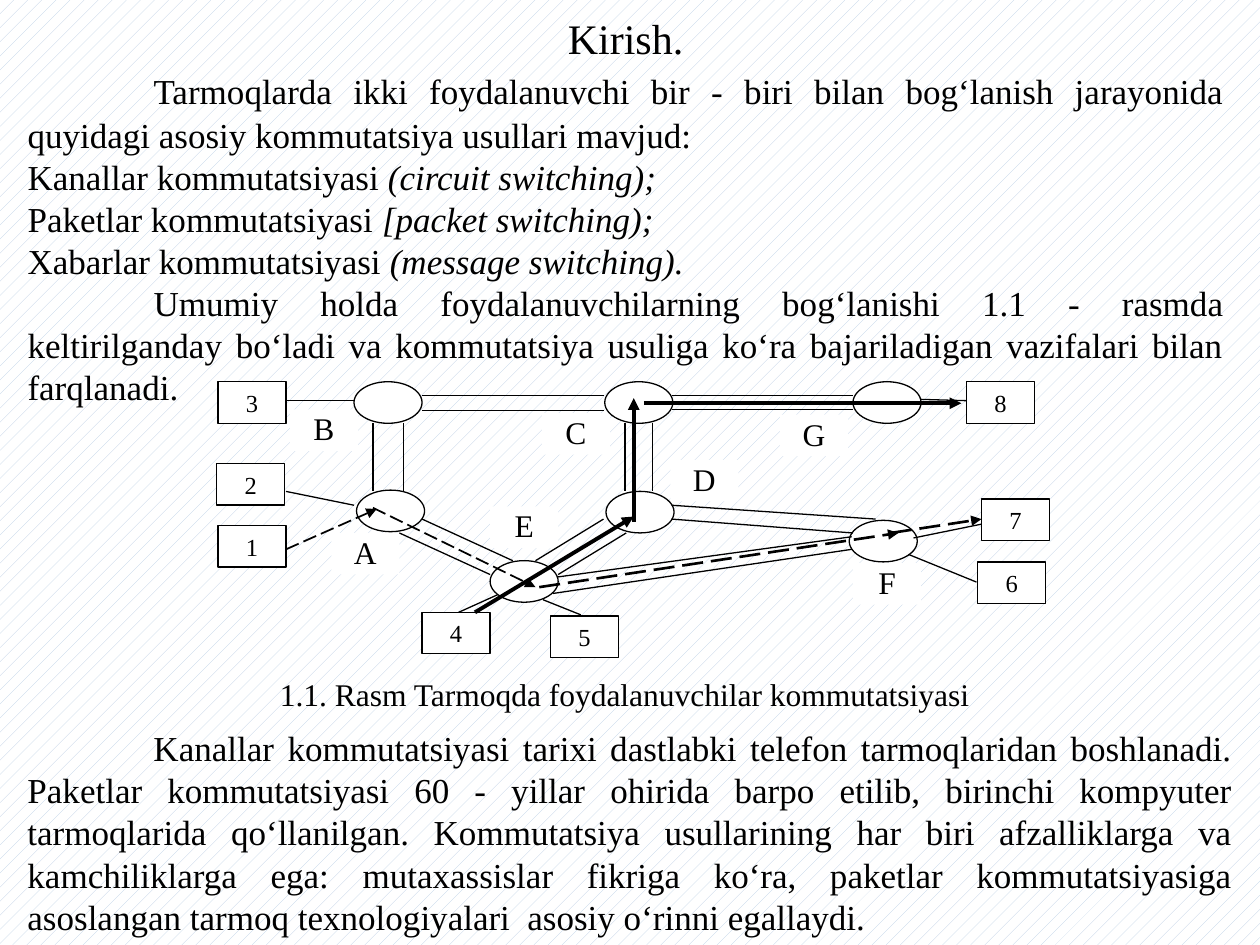
from lxml import etree
from pptx import Presentation
from pptx.dml.color import RGBColor
from pptx.enum import dml, shapes, text
from pptx.oxml.ns import qn
from pptx.util import Inches, Pt

BLACK = RGBColor(0x00, 0x00, 0x00)
WHITE = RGBColor(0xFF, 0xFF, 0xFF)
PALE_BLUE = RGBColor(0xB9, 0xCD, 0xE5)
FONT = "Times New Roman"
NODE_W, NODE_H = 0.54, 0.33
CENTER, JUSTIFY = text.PP_ALIGN.CENTER, text.PP_ALIGN.JUSTIFY

deck = Presentation()
deck.slide_width, deck.slide_height = Inches(10), Inches(7.5)
page = deck.slides.add_slide(deck.slide_layouts[6])

# Patterned background
backdrop = page.background.fill
backdrop.patterned()
backdrop.pattern = dml.MSO_PATTERN.PERCENT_10
backdrop.fore_color.rgb = PALE_BLUE
backdrop.back_color.rgb = WHITE


def write(frame, paragraphs):
    """Fill a text frame from (alignment, [(words, size, italic), ...]) items."""
    frame.word_wrap = True
    for index, (align, spans) in enumerate(paragraphs):
        para = frame.paragraphs[0] if index == 0 else frame.add_paragraph()
        para.alignment = align
        if align == JUSTIFY:
            para._p.get_or_add_pPr().set("defTabSz", str(Inches(1)))
        for words, size, italic in spans:
            span = para.add_run()
            span.text = words
            span.font.name = FONT
            span.font.size = Pt(size)
            span.font.italic = italic
            span.font.color.rgb = BLACK


def connect(start, end, width=0.75, dash=None, arrow=False):
    """Draw a black line, with an arrowhead at its end if asked."""
    line = page.shapes.add_connector(
        shapes.MSO_CONNECTOR.STRAIGHT, *map(Inches, start + end))
    line.line.color.rgb = BLACK
    line.line.width = Pt(width)
    if dash:
        line.line.dash_style = dash
    properties = line._element.spPr
    if arrow:
        etree.SubElement(properties.get_or_add_ln(), qn("a:tailEnd"), type="triangle")
    etree.SubElement(properties, qn("a:effectLst"))


# Title and introduction
methods = [
    ("Kanallar", "(circuit switching);"),
    ("Paketlar", "[packet switching);"),
    ("Xabarlar", "(message switching)."),
]
intro = page.shapes.add_textbox(Inches(0.12), Inches(0.05), Inches(9.69), Inches(2.93))
write(intro.text_frame, [
    (CENTER, [("Kirish.", 24, False)]),
    (JUSTIFY, [
        ("\t", 24, False),
        ("Tarmoqlarda ikki foydalanuvchi bir - biri bilan bog‘lanish jarayonida "
         "quyidagi asosiy kommutatsiya usullari mavjud:", 20, False)]),
    *[(JUSTIFY, [(f"{unit} kommutatsiyasi ", 20, False), (english, 20, True)])
      for unit, english in methods],
    (JUSTIFY, [
        ("\tUmumiy holda foydalanuvchilarning bog‘lanishi 1.1 - rasmda "
         "keltirilganday bo‘ladi va kommutatsiya usuliga ko‘ra bajariladigan "
         "vazifalari bilan farqlanadi.", 20, False)]),
])

# Network parts: switching nodes, numbered users, node letters
nodes = [(2.81, 3.03), (2.83, 3.89), (3.89, 4.45), (6.74, 4.13),
         (4.81, 3.9), (6.77, 3.03), (4.8, 3.03)]
users = [("6", 7.76, 4.46), ("3", 1.73, 3.03), ("4", 3.35, 4.86), ("5", 4.37, 4.89),
         ("8", 7.67, 3.03), ("2", 1.72, 3.68), ("7", 7.79, 3.96), ("1", 1.73, 4.17)]
letters = [("E", 3.89, 4.02), ("A", 2.63, 4.23), ("G", 6.19, 3.29), ("С", 4.3, 3.28),
           ("В", 2.3, 3.25), ("D", 5.32, 3.65), ("F", 6.77, 4.47)]
OVAL, RECT = shapes.MSO_SHAPE.OVAL, shapes.MSO_SHAPE.RECTANGLE
parts = ([(RECT, *letter, 18) for letter in letters]
         + [(OVAL, "", x, y, 0) for x, y in nodes]
         + [(RECT, *user, 14) for user in users])
for kind, label, x, y, size in parts:
    part = page.shapes.add_shape(kind, Inches(x), Inches(y), Inches(NODE_W), Inches(NODE_H))
    part.shadow.inherit = False
    part.fill.solid()
    part.fill.fore_color.rgb = WHITE
    if size == 18:
        part.line.fill.background()
    else:
        part.line.color.rgb = BLACK
        part.line.width = Pt(0.75)
    if label:
        frame = part.text_frame
        write(frame, [(CENTER, [(label, size, False)])])
        frame.vertical_anchor = text.MSO_ANCHOR.TOP
        if size == 18:
            frame.margin_left = frame.margin_right = 0
            frame.margin_top = frame.margin_bottom = 0

# Trunks between nodes (drawn in pairs) and lines to users
links = [
    ((2.96, 3.36), (2.96, 3.9)), ((3.2, 3.36), (3.2, 3.9)),
    ((4.96, 3.36), (4.96, 3.9)), ((5.18, 3.36), (5.18, 3.9)),
    ((3.35, 3.14), (4.79, 3.14)), ((3.35, 3.26), (4.79, 3.26)),
    ((5.33, 3.14), (6.77, 3.14)), ((5.33, 3.25), (6.77, 3.25)),
    ((3.35, 4.12), (4.07, 4.45)), ((3.17, 4.23), (3.89, 4.56)),
    ((4.25, 4.45), (4.79, 4.12)), ((4.43, 4.56), (4.97, 4.23)),
    ((4.42, 4.58), (6.76, 4.26)), ((4.39, 4.71), (6.76, 4.36)),
    ((5.33, 4.12), (6.77, 4.23)), ((5.33, 4.01), (6.95, 4.12)),
    ((3.95, 4.72), (3.64, 4.86)), ((4.31, 4.76), (4.61, 4.88)),
    ((2.81, 4.01), (2.27, 3.9)), ((2.81, 3.18), (2.27, 3.18)),
    ((7.25, 4.27), (7.79, 4.16)), ((7.21, 4.4), (7.75, 4.62)),
    ((7.31, 3.17), (7.67, 3.18)),
]
for start, end in links:
    connect(start, end)

# Routes: dashed from user 1 to 7, solid from user 4 to 8
DASH = dml.MSO_LINE.LONG_DASH
routes = [
    ((2.27, 4.36), (2.99, 4.04), 1, DASH),
    ((2.96, 4.03), (4.25, 4.66), 1, DASH),
    ((4.28, 4.66), (7.13, 4.23), 1.5, DASH),
    ((7.07, 4.23), (7.79, 4.12), 1.5, DASH),
    ((3.77, 4.86), (5.03, 4.1), 2.25, None),
    ((5.03, 4.14), (5.03, 3.16), 2.25, None),
    ((5.11, 3.2), (7.63, 3.2), 2.25, None),
]
for start, end, width, dash in routes:
    connect(start, end, width, dash, arrow=True)

# Caption
caption = page.shapes.add_textbox(Inches(1.63), Inches(5.31), Inches(6.66), Inches(0.4))
write(caption.text_frame, [
    (CENTER, [("1.1. Rasm Tarmoqda foydalanuvchilar kommutatsiyasi", 18, False)])])

# Closing paragraph
history = page.shapes.add_textbox(Inches(0.12), Inches(5.72), Inches(9.76), Inches(1.78))
write(history.text_frame, [(JUSTIFY, [
    ("\tKanallar kommutatsiyasi tarixi dastlabki telefon tarmoqlaridan boshlanadi. "
     "Paketlar kommutatsiyasi 60 - yillar ohirida barpo etilib, birinchi kompyuter "
     "tarmoqlarida qo‘llanilgan. Kommutatsiya usullarining har biri afzalliklarga va "
     "kamchiliklarga ega: mutaxassislar fikriga ko‘ra, paketlar kommutatsiyasiga "
     "asoslangan tarmoq texnologiyalari  asosiy o‘rinni egallaydi.", 20, False)])])

deck.save("out.pptx")
